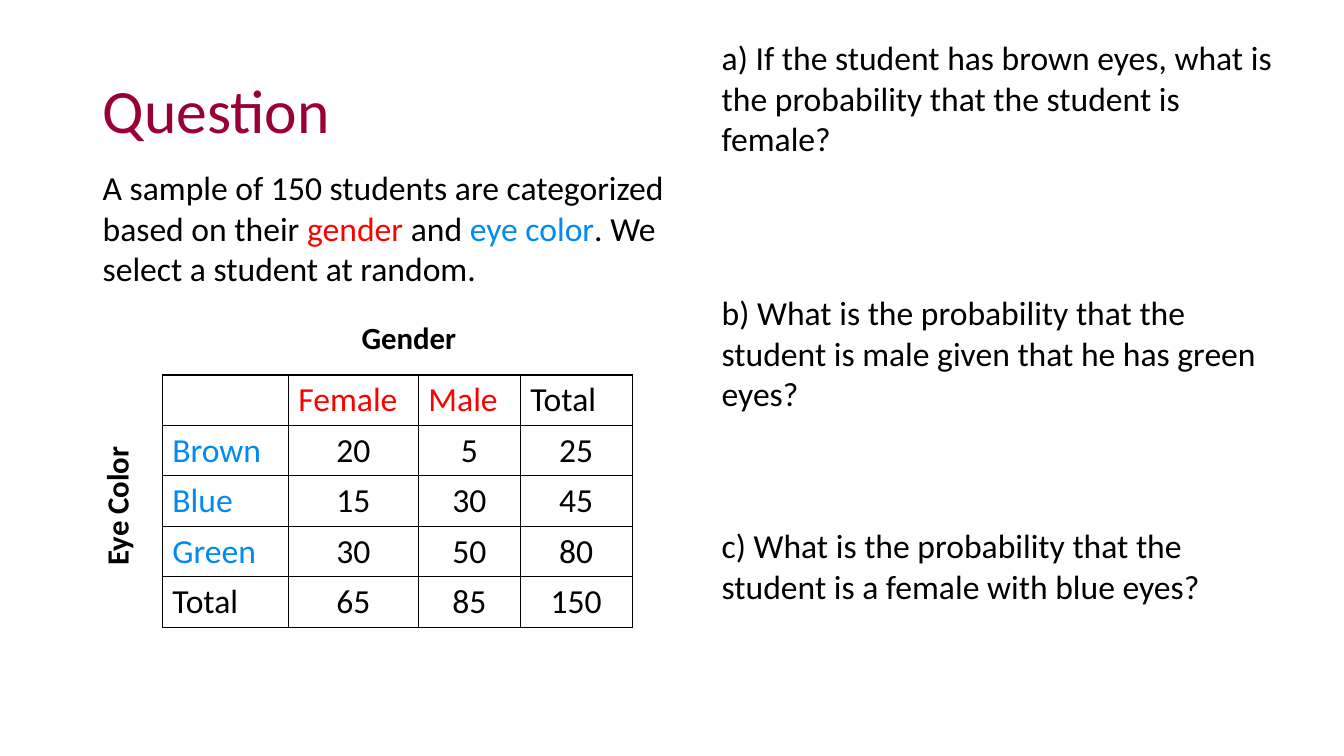
from lxml import etree
from pptx import Presentation
from pptx.dml.color import RGBColor
from pptx.enum import text as en
from pptx.oxml import ns
from pptx.util import Inches, Pt

COLORS = {"title": "990033", "text": "000000", "gender": "FF0000", "eye": "008AF2"}
FONT = "Calibri"

TITLE = ("Question", (0.92, 0.4, 7.1, 1.45))
INTRO = [
    ("A sample of 150 students are categorized based on their ", "text"),
    ("gender", "gender"),
    (" and ", "text"),
    ("eye color", "eye"),
    (". We select a student at random.", "text"),
]
PARTS = [
    ("a) If the student has brown eyes, what is the probability that the student is female?", 0.32, 1.31),
    ("b) What is the probability that the student is male given that he has green eyes?", 2.85, 1.31),
    ("c) What is the probability that the student is a female with blue eyes?", 5.16, 0.91),
]
LABELS = [
    ("Eye Color", (0.3, 4.7, 1.88, 0.64), 270),
    ("Gender", (3.14, 3.11, 1.83, 0.45), 0),
]
COUNTS = [
    ("", "Female", "Male", "Total"),
    ("Brown", 20, 5, 25),
    ("Blue", 15, 30, 45),
    ("Green", 30, 50, 80),
    ("Total", 65, 85, 150),
]
WIDTHS = (1.25, 1.29, 1.01, 1.11)
ROW = 0.5


def write(frame, runs, size=24, bold=False, align=en.PP_ALIGN.LEFT):
    """Fill the first paragraph with (words, colour name) runs."""
    para = frame.paragraphs[0]
    para.alignment = align
    for words, color in runs:
        run = para.add_run()
        run.text = words
        for key, value in {"name": FONT, "size": Pt(size), "bold": bold}.items():
            setattr(run.font, key, value)
        run.font.color.rgb = RGBColor.from_string(COLORS[color])
    return para


def add_text(slide, box, runs, turn=0, **form):
    shape = slide.shapes.add_textbox(*map(Inches, box))
    shape.rotation = turn
    shape.text_frame.word_wrap = True
    write(shape.text_frame, runs, **form)


def rule(cell):
    """Draw a thin line on each side of a cell."""
    props = cell._tc.get_or_add_tcPr()
    for side in ("lnL", "lnR", "lnT", "lnB"):
        line = etree.SubElement(props, ns.qn("a:" + side), w=str(Pt(1)))
        fill = etree.SubElement(line, ns.qn("a:solidFill"))
        etree.SubElement(fill, ns.qn("a:srgbClr"), val=COLORS["text"])


def add_counts(slide):
    box = (1.61, 3.72, sum(WIDTHS), ROW * len(COUNTS))
    table = slide.shapes.add_table(len(COUNTS), len(WIDTHS), *map(Inches, box)).table
    table.first_row = table.horz_banding = False
    for col, width in zip(table.columns, WIDTHS):
        col.width = Inches(width)
    for r, row in enumerate(COUNTS):
        table.rows[r].height = Inches(ROW)
        for c, value in enumerate(row):
            cell = table.cell(r, c)
            rule(cell)
            cell.fill.background()
            if value == "":
                continue
            color = "text"
            if value != "Total" and r == 0:
                color = "gender"
            elif value != "Total" and c == 0:
                color = "eye"
            align = en.PP_ALIGN.CENTER if r and c else en.PP_ALIGN.LEFT
            write(cell.text_frame, [(str(value), color)], align=align)


def main():
    prs = Presentation()
    prs.slide_width, prs.slide_height = Inches(13.33), Inches(7.5)
    slide = prs.slides.add_slide(prs.slide_layouts[5])

    words, box = TITLE
    title = slide.shapes.title
    for key, value in zip(("left", "top", "width", "height"), box):
        setattr(title, key, Inches(value))
    title.text_frame.vertical_anchor = en.MSO_ANCHOR.MIDDLE
    write(title.text_frame, [(words, "title")], size=44).line_spacing = 0.9

    add_text(slide, (0.92, 1.61, 6.03, 1.31), INTRO)
    for words, box, turn in LABELS:
        add_text(slide, box, [(words, "text")], turn, size=22, bold=True, align=en.PP_ALIGN.CENTER)
    add_counts(slide)
    for words, top, height in PARTS:
        add_text(slide, (7.06, top, 5.69, height), [(words, "text")])

    prs.save("out.pptx")


if __name__ == "__main__":
    main()
